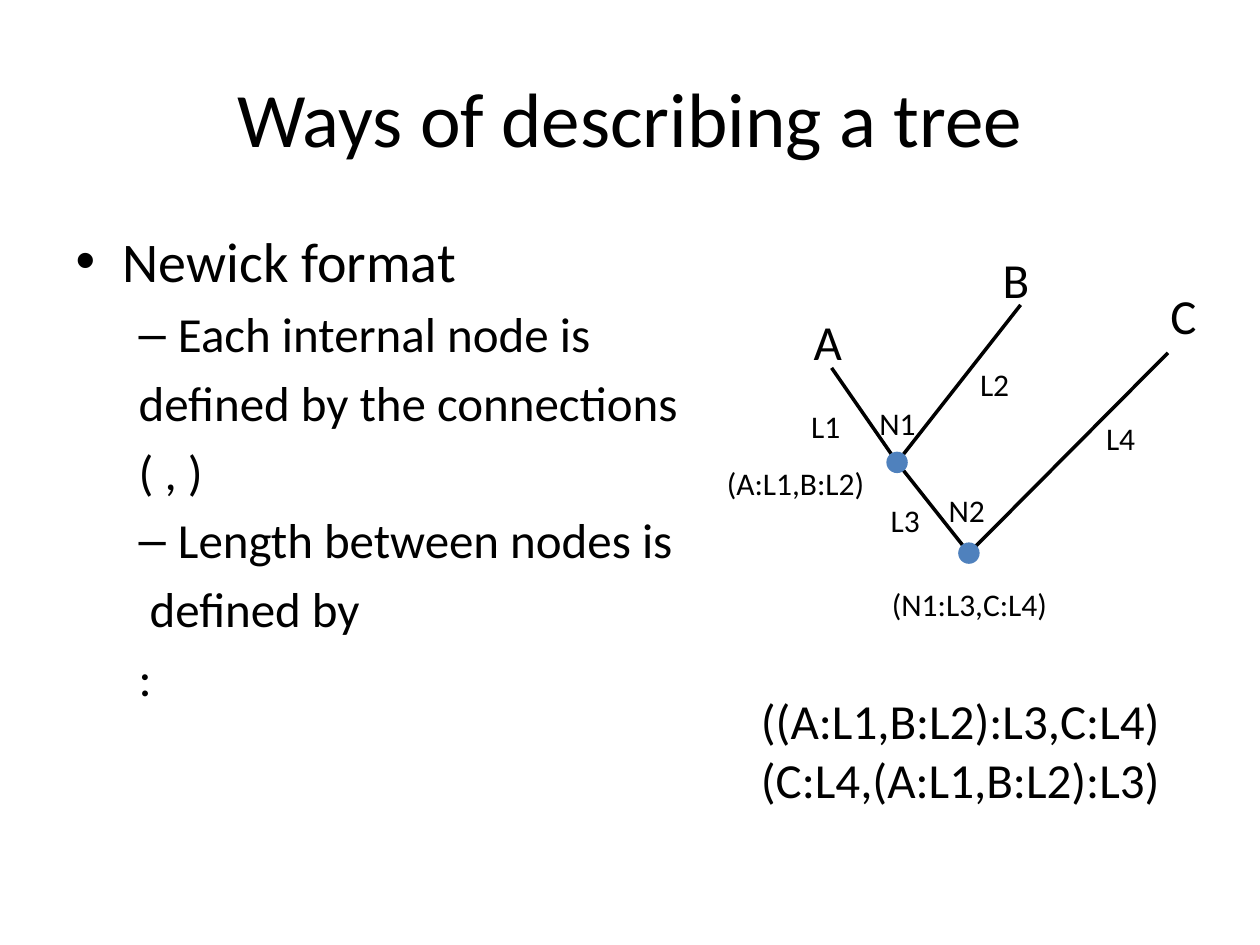
from dataclasses import dataclass

from lxml import etree
from pptx import Presentation
from pptx.dml.color import RGBColor
from pptx.enum.shapes import MSO_CONNECTOR, MSO_SHAPE
from pptx.enum.text import MSO_ANCHOR, MSO_AUTO_SIZE, PP_ALIGN
from pptx.oxml.ns import qn
from pptx.util import Inches, Pt

STRAIGHT = MSO_CONNECTOR.STRAIGHT
OVAL = MSO_SHAPE.OVAL
MIDDLE = MSO_ANCHOR.MIDDLE
FIT_SHAPE = MSO_AUTO_SIZE.SHAPE_TO_FIT_TEXT
CENTER = PP_ALIGN.CENTER
COLUMNS, ROWS = 100, 75


@dataclass(frozen=True)
class Theme:
    font: str = "Calibri"
    ink: RGBColor = RGBColor(0x00, 0x00, 0x00)
    joint: RGBColor = RGBColor(0x4F, 0x81, 0xBD)
    title: int = 44
    topic: int = 32
    large: int = 28
    small: int = 18
    branch: int = 2


class TreeSlide:
    """Draws on one slide; all lengths are columns and rows of the grid."""

    def __init__(self, deck, theme):
        self.theme = theme
        self.cell = deck.slide_width / COLUMNS
        self.slide = deck.slides.add_slide(deck.slide_layouts[1])
        self.shapes = self.slide.shapes

    def grid(self, *lengths):
        return [round(length * self.cell) for length in lengths]

    def style(self, paragraph, size):
        for run in paragraph.runs:
            run.font.name = self.theme.font
            run.font.size = Pt(size)
            run.font.color.rgb = self.theme.ink

    def place(self, shape, box):
        shape.left, shape.top, shape.width, shape.height = self.grid(*box)

    def title(self, text, box):
        heading = self.shapes.title
        self.place(heading, box)
        heading.text_frame.text = text
        heading.text_frame.vertical_anchor = MIDDLE
        paragraph = heading.text_frame.paragraphs[0]
        paragraph.alignment = CENTER
        self.style(paragraph, self.theme.title)

    def outline(self, entries, box):
        """Fill the body with (level, has bullet, text) entries."""
        body = self.slide.placeholders[1]
        self.place(body, box)
        frame = body.text_frame
        frame.text = "\n".join(text for _, _, text in entries)
        for paragraph, (level, bulleted, _) in zip(frame.paragraphs, entries):
            paragraph.level = level
            self.style(paragraph, self.theme.large if level else self.theme.topic)
            if not bulleted:
                properties = paragraph._p.get_or_add_pPr()
                properties.set("marL", str(Inches(0.5)))
                properties.set("indent", "0")
                etree.SubElement(properties, qn("a:buNone"))

    def branch(self, start, end):
        line = self.shapes.add_connector(STRAIGHT, *self.grid(*start, *end))
        line.line.color.rgb = self.theme.ink
        line.line.width = Pt(self.theme.branch)
        etree.SubElement(line._element.spPr, qn("a:effectLst"))

    def label(self, text, box, size, wrap=False, parent=None):
        textbox = (parent or self.shapes).add_textbox(*self.grid(*box))
        frame = textbox.text_frame
        frame.text = text
        frame.word_wrap = wrap
        frame.auto_size = FIT_SHAPE
        for paragraph in frame.paragraphs:
            self.style(paragraph, size)

    def joint(self, center, captions):
        """Group an internal node's dot with its captions."""
        members = self.shapes.add_group_shape().shapes
        diameter = 1.7
        corner = [position - diameter / 2 for position in center]
        dot = members.add_shape(OVAL, *self.grid(*corner, diameter, diameter))
        dot.shadow.inherit = False
        dot.fill.solid()
        dot.fill.fore_color.rgb = self.theme.joint
        dot.line.fill.background()
        for text, left, top, width in captions:
            self.label(text, (left, top, width, 4), self.theme.small, parent=members)


def main():
    deck = Presentation()
    deck.slide_width, deck.slide_height = Inches(10), Inches(7.5)
    theme = Theme()
    page = TreeSlide(deck, theme)

    page.title("Ways of describing a tree", (5, 3, 90, 12.5))
    page.outline([
        (0, True, "Newick format"),
        (1, True, "Each internal node is"),
        (1, False, "defined by the connections"),
        (1, False, "( , )"),
        (1, True, "Length between nodes is"),
        (1, False, " defined by"),
        (1, False, ":"),
    ], (5, 17.5, 90, 49.5))

    node1, node2 = (71.2, 36.7), (76.9, 43.9)
    for tip, node in [((66, 29.2), node1), ((81, 24.2), node1),
                      (node1, node2), ((92.7, 28), node2)]:
        page.branch(tip, node)

    for leaf, left, top in [("A", 63.6, 24.2), ("B", 78.6, 19.3), ("C", 91.9, 22.2)]:
        page.label(leaf, (left, top, 4.2, 5.7), theme.large)
    for length, left, top in [("L1", 63.4, 31.8), ("L2", 76.8, 28.5),
                              ("L3", 69.7, 39.3), ("L4", 86.8, 32.8)]:
        page.label(length, (left, top, 4.4, 4), theme.small)

    page.joint(node1, [("(A:L1,B:L2)", 56.7, 36.3, 13.1), ("N1", 68.8, 31.6, 4.9)])
    page.joint(node2, [("N2", 74.3, 38.5, 4.9), ("(N1:L3,C:L4)", 69.8, 45.9, 14.5)])

    page.label("((A:L1,B:L2):L3,C:L4)\n(C:L4,(A:L1,B:L2):L3)",
               (59.4, 54.3, 35.8, 10.4), theme.large, wrap=True)
    deck.save("out.pptx")


if __name__ == "__main__":
    main()
